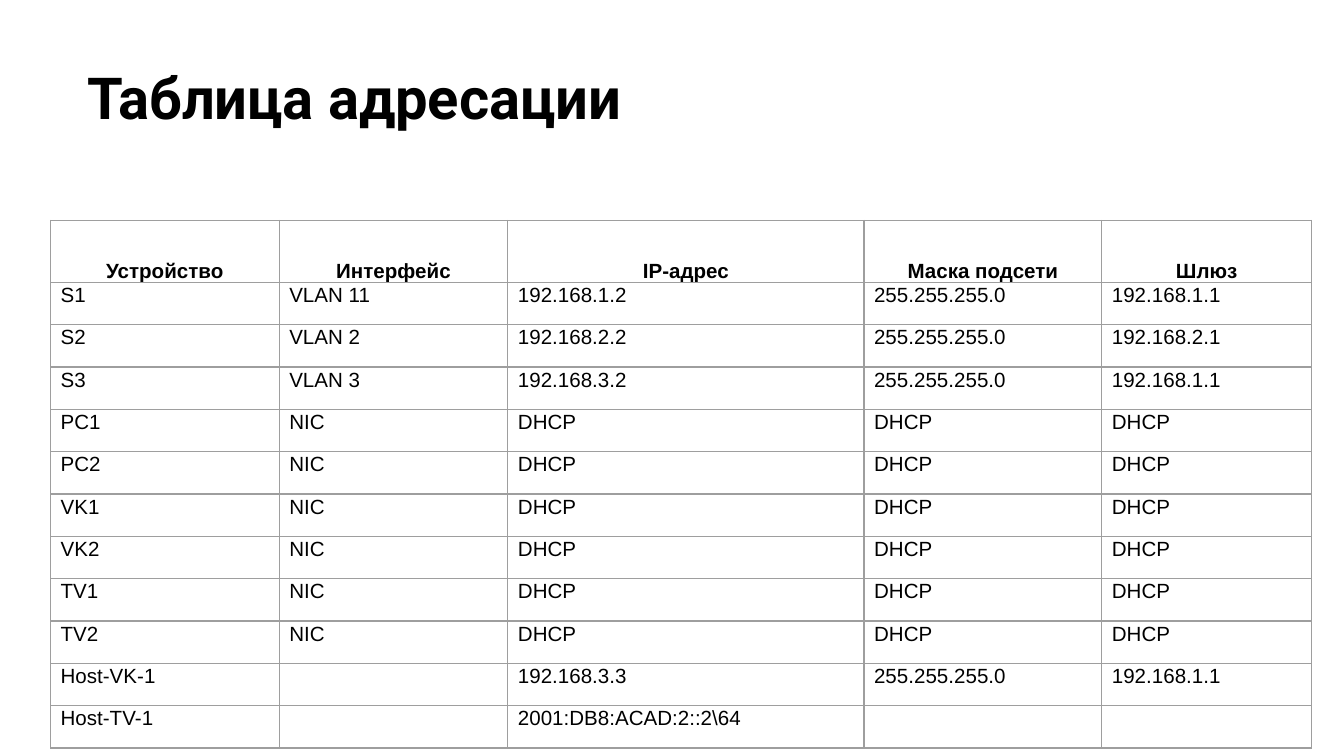
from typing import NamedTuple

from lxml.etree import SubElement
from pptx import Presentation
from pptx.dml.color import RGBColor
from pptx.enum.text import MSO_ANCHOR as Anchor, PP_ALIGN as Align
from pptx.oxml.ns import qn
from pptx.util import Pt

COLORS = {"text": "000000", "border": "9E9E9E"}
HEADER_HEIGHT = 33.2
ROW_HEIGHT = 22.7
BORDER_WIDTH = 0.75


class Column(NamedTuple):
    heading: str
    width: float


class Host(NamedTuple):
    device: str
    interface: str
    address: str
    mask: str
    gateway: str


class CellStyle(NamedTuple):
    bold: bool
    align: Align
    anchor: Anchor


HEADING = CellStyle(True, Align.CENTER, Anchor.BOTTOM)
BODY = CellStyle(False, Align.LEFT, Anchor.TOP)

COLUMNS = [
    Column("Устройство", 122.5),
    Column("Интерфейс", 122.5),
    Column("IP-адрес", 190.8),
    Column("Маска подсети", 127.4),
    Column("Шлюз", 112.4),
]
MASK = "255.255.255.0"
DYNAMIC_DEVICES = ["PC1", "PC2", "VK1", "VK2", "TV1", "TV2"]
HOSTS = [
    Host("S1", "VLAN 11", "192.168.1.2", MASK, "192.168.1.1"),
    Host("S2", "VLAN 2", "192.168.2.2", MASK, "192.168.2.1"),
    Host("S3", "VLAN 3", "192.168.3.2", MASK, "192.168.1.1"),
    *(Host(device, "NIC", "DHCP", "DHCP", "DHCP") for device in DYNAMIC_DEVICES),
    Host("Host-VK-1", "", "192.168.3.3", MASK, "192.168.1.1"),
    Host("Host-TV-1", "", "2001:DB8:ACAD:2::2\\64", "", ""),
]


def add_run(paragraph, text: str, font_name: str, size: float, bold: bool) -> None:
    run = paragraph.add_run()
    run.text = text
    run.font.name = font_name
    run.font.size = Pt(size)
    run.font.bold = bold
    run.font.color.rgb = RGBColor.from_string(COLORS["text"])


def add_title(slide, text: str) -> None:
    frame = slide.shapes.add_textbox(Pt(39.6), Pt(25.9), Pt(671), Pt(86.4)).text_frame
    frame.word_wrap = True
    frame.vertical_anchor = Anchor.TOP
    frame.margin_left = frame.margin_right = Pt(7.2)
    frame.margin_top = frame.margin_bottom = Pt(7.2)
    add_run(frame.paragraphs[0], text, "Roboto", 31, True)


def add_borders(cell) -> None:
    properties = cell._tc.get_or_add_tcPr()
    for side in ("lnL", "lnR", "lnT", "lnB"):
        line = SubElement(properties, qn(f"a:{side}"), w=str(Pt(BORDER_WIDTH)))
        fill = SubElement(line, qn("a:solidFill"))
        SubElement(fill, qn("a:srgbClr"), val=COLORS["border"])


def fill_cell(cell, text: str, style: CellStyle) -> None:
    add_borders(cell)
    cell.fill.background()
    cell.vertical_anchor = style.anchor
    cell.margin_left = cell.margin_right = Pt(5.4)
    cell.margin_top = cell.margin_bottom = Pt(0)
    if text:
        paragraph = cell.text_frame.paragraphs[0]
        paragraph.alignment = style.align
        paragraph.line_spacing = 1.07
        paragraph.space_after = Pt(8)
        add_run(paragraph, text, "Arial", 11, style.bold)


def add_address_table(slide, columns: list[Column], hosts: list[Host]) -> None:
    width = sum(column.width for column in columns)
    height = HEADER_HEIGHT + ROW_HEIGHT * len(hosts)
    table = slide.shapes.add_table(
        len(hosts) + 1, len(columns), Pt(27.1), Pt(118.1), Pt(width), Pt(height)
    ).table
    table.first_row = table.horz_banding = False
    for index, column in enumerate(columns):
        table.columns[index].width = Pt(column.width)
        fill_cell(table.cell(0, index), column.heading, HEADING)
    table.rows[0].height = Pt(HEADER_HEIGHT)
    for row, host in enumerate(hosts, start=1):
        table.rows[row].height = Pt(ROW_HEIGHT)
        for index, value in enumerate(host):
            fill_cell(table.cell(row, index), value, BODY)


def main() -> None:
    deck = Presentation()
    deck.slide_width, deck.slide_height = Pt(720), Pt(405)
    slide = deck.slides.add_slide(deck.slide_layouts[6])
    add_title(slide, "Таблица адресации")
    add_address_table(slide, COLUMNS, HOSTS)
    deck.save("out.pptx")


if __name__ == "__main__":
    main()
